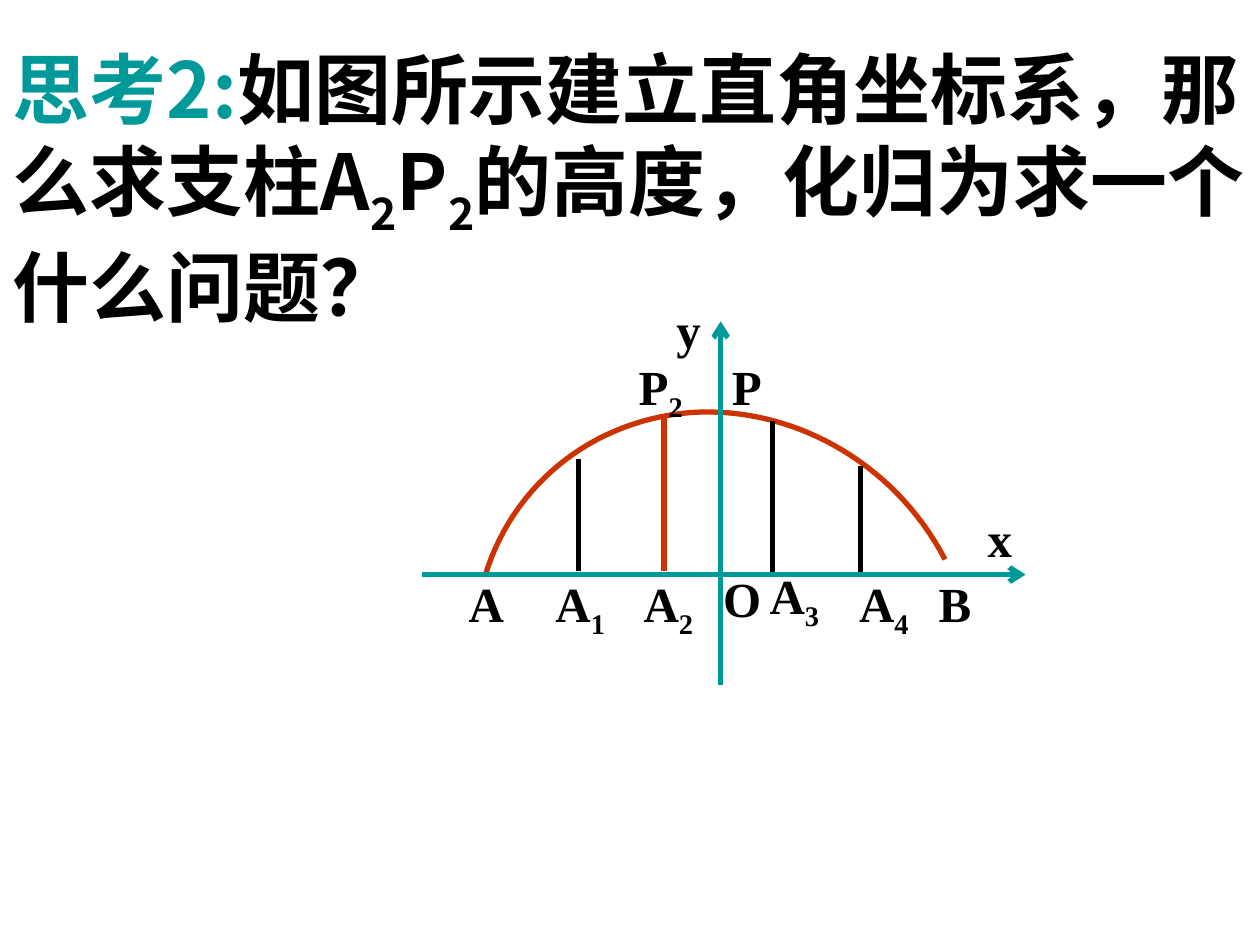
from lxml.etree import SubElement
from pptx import Presentation
from pptx.dml.color import RGBColor
from pptx.enum.shapes import MSO_CONNECTOR
from pptx.enum.text import MSO_ANCHOR, MSO_AUTO_SIZE, PP_ALIGN
from pptx.oxml.ns import qn
from pptx.util import Inches, Pt

TEAL, RED, BLACK = "009999", "CC3300", "000000"
CJK_FONT, LATIN_FONT = "Noto Sans CJK SC", "Times New Roman"
LINE_WIDTH = 3
AXIS_Y, ORIGIN_X = 4.56, 5.72
LABEL_WIDTH, LABEL_HEIGHT = 0.72, 0.67
LABEL_ROW, PEAK_ROW = 4.5, 2.78

ARCH = [
    [(3.85, 4.57), (4.08, 3.81), (4.76, 3.3), (5.56, 3.27)],
    [(5.56, 3.27), (6.36, 3.25), (7.12, 3.71), (7.5, 4.44)],
]
PILLARS = [  # x, bottom, top, colour
    (4.59, 4.53, 3.64, BLACK),
    (6.83, 4.55, 3.7, BLACK),
    (5.27, 4.53, 3.32, RED),
    (6.13, 4.58, 3.34, BLACK),
]
LABELS = [  # letter, subscript, left, top
    ("A", "", 3.62, LABEL_ROW),
    ("B", "", 7.35, LABEL_ROW),
    ("A", "1", 4.31, LABEL_ROW),
    ("A", "2", 5.01, LABEL_ROW),
    ("A", "3", 6.01, 4.44),
    ("A", "4", 6.72, LABEL_ROW),
    ("O", "", 5.64, 4.46),
    ("P", "", 5.71, PEAK_ROW),
    ("P", "2", 4.97, PEAK_ROW),
    ("x", "", 7.74, 3.99),
    ("y", "", 5.27, 2.33),
]


def color(hex_code):
    return RGBColor.from_string(hex_code)


def add_text(paragraph, text, font_name, size, hex_code=BLACK, subscript=False):
    run = paragraph.add_run()
    run.text = text
    run.font.name = font_name
    run.font.size = Pt(size)
    run.font.bold = True
    run.font.color.rgb = color(hex_code)
    properties = run._r.get_or_add_rPr()
    SubElement(properties, qn("a:ea")).set("typeface", font_name)
    if subscript:
        properties.set("baseline", "-25000")


def add_question(slide):
    question = slide.shapes.title
    question.left, question.top = 0, Inches(0.28)
    question.width, question.height = Inches(10), Inches(2.4)
    frame = question.text_frame
    frame.word_wrap = True
    frame.auto_size = MSO_AUTO_SIZE.NONE
    frame.vertical_anchor = MSO_ANCHOR.TOP
    paragraph = frame.paragraphs[0]
    paragraph.alignment = PP_ALIGN.LEFT
    add_text(paragraph, "思考2:", CJK_FONT, 44, TEAL)
    pieces = ["如图所示建立直角坐标系，那么求支柱A", "2", "P", "2",
              "的高度，化归为求一个什么问题？"]
    for piece in pieces:
        add_text(paragraph, piece, CJK_FONT, 44, subscript=piece == "2")


def add_line(slide, start, end, hex_code, arrow=False):
    line = slide.shapes.add_connector(
        MSO_CONNECTOR.STRAIGHT, *map(Inches, (*start, *end)))
    line.line.color.rgb = color(hex_code)
    line.line.width = Pt(LINE_WIDTH)
    if arrow:
        SubElement(line.line._get_or_add_ln(), qn("a:tailEnd")).set("type", "arrow")
    SubElement(line._element.spPr, qn("a:effectLst"))


def bezier_point(controls, t):
    weights = ((1 - t) ** 3, 3 * t * (1 - t) ** 2, 3 * t ** 2 * (1 - t), t ** 3)
    return tuple(Inches(sum(w * value for w, value in zip(weights, axis)))
                 for axis in zip(*controls))


def add_arch(slide, steps=30):
    points = [bezier_point(controls, step / steps)
              for controls in ARCH for step in range(steps + 1)]
    builder = slide.shapes.build_freeform(*points[0])
    builder.add_line_segments(points[1:], close=False)
    arch = builder.convert_to_shape()
    arch.shadow.inherit = False
    arch.fill.background()
    arch.line.color.rgb = color(RED)
    arch.line.width = Pt(LINE_WIDTH)


def add_label(slide, letter, subscript, left, top):
    label = slide.shapes.add_textbox(
        *map(Inches, (left, top, LABEL_WIDTH, LABEL_HEIGHT)))
    label.text_frame.word_wrap = True
    paragraph = label.text_frame.paragraphs[0]
    paragraph.alignment = PP_ALIGN.JUSTIFY
    add_text(paragraph, letter, LATIN_FONT, 28)
    if subscript:
        add_text(paragraph, subscript, LATIN_FONT, 28, subscript=True)


def main():
    presentation = Presentation()
    presentation.slide_width, presentation.slide_height = Inches(10), Inches(7.5)
    slide = presentation.slides.add_slide(presentation.slide_layouts[5])
    add_question(slide)
    add_arch(slide)
    for x, bottom, top, hex_code in PILLARS:
        add_line(slide, (x, bottom), (x, top), hex_code)
    add_line(slide, (3.35, AXIS_Y), (8.14, AXIS_Y), TEAL, arrow=True)
    add_line(slide, (ORIGIN_X, 5.44), (ORIGIN_X, 2.55), TEAL, arrow=True)
    for label in LABELS:
        add_label(slide, *label)
    presentation.save("out.pptx")


if __name__ == "__main__":
    main()
